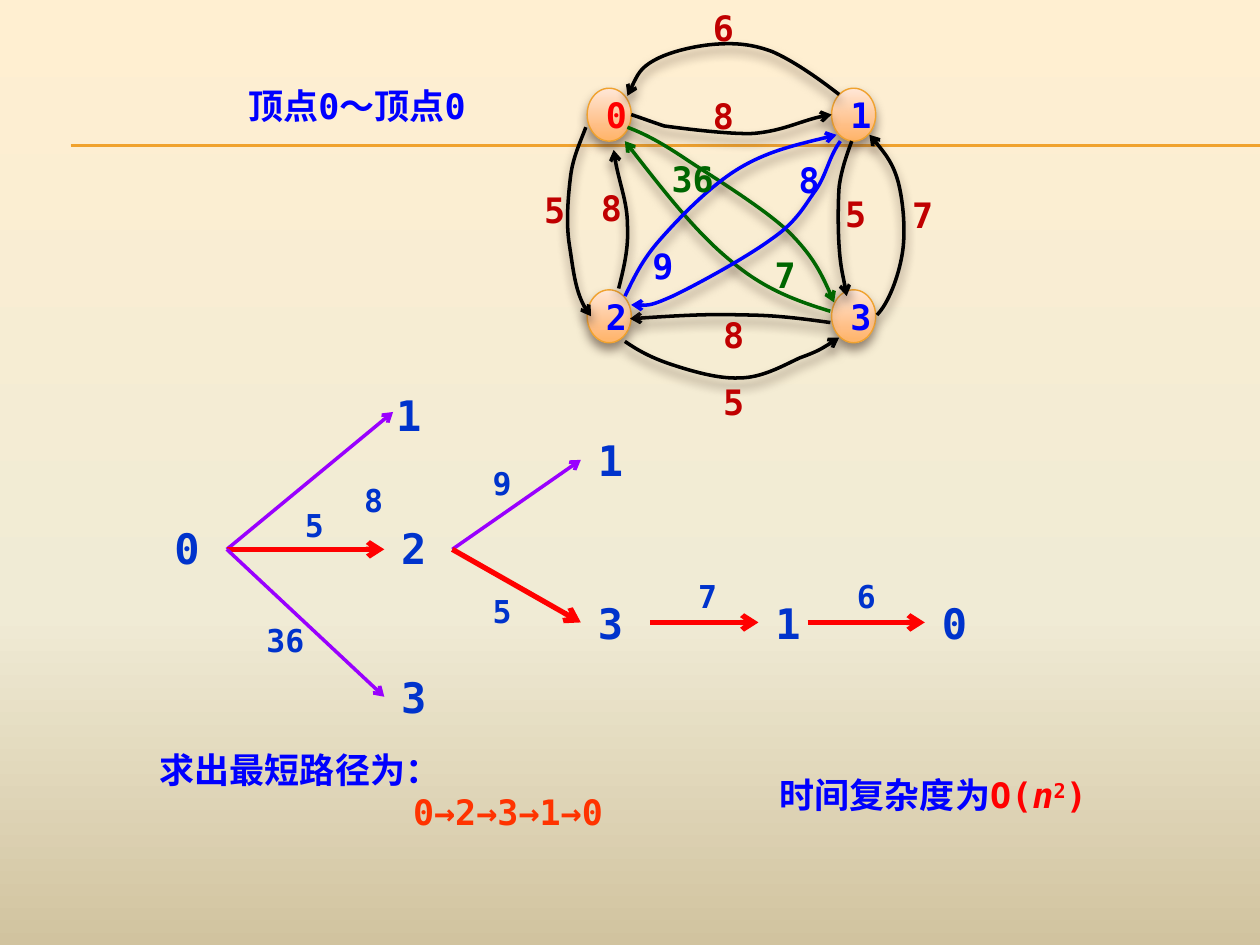
import dataclasses
import typing

import lxml.etree
import pptx
import pptx.dml.color
import pptx.enum.shapes
import pptx.enum.text
import pptx.oxml.ns
import pptx.util

FONT = "DejaVu Sans Mono"
CM_PER_INCH = 2.54
COLORS = {
    "rule": "F0A22E", "blue": "0000FF", "tree": "0033CC", "red": "FF0000",
    "purple": "9900FF", "orange": "FF3300", "dark_red": "C00000",
    "green": "006600", "black": "000000", "shadow": "4E3B30",
}
PAGE_STOPS = [(0, "FFEFD1"), (65, "F0EBD5"), (100, "D1C39F")]
VERTEX_STOPS = [(0, "FFE7D7"), (72, "FFBE84"), (100, "FFB468")]
Point = tuple[float, float]


@dataclasses.dataclass
class Vertex:
    name: str
    left: float
    top: float
    color: str = "blue"


@dataclasses.dataclass
class Edge:
    """A curved arrow: its start, then three Bezier points for each part."""
    color: str
    points: list[Point]


@dataclasses.dataclass
class Weight:
    text: str
    left: float
    top: float
    color: str = "dark_red"
    width: float = 0.28
    height: float = 0.44
    inset: bool = True


@dataclasses.dataclass
class Branch:
    """An arrow of the search tree, the node it reaches and its cost."""
    start: Point
    end: Point
    node: str
    node_at: Point
    cost: str
    cost_at: Point
    best: bool = False


VERTICES = [
    Vertex("0", 4.66, 0.7, "red"), Vertex("2", 4.66, 2.3),
    Vertex("1", 6.6, 0.7), Vertex("3", 6.6, 2.3),
]
EDGES = [
    Edge("black", [(4.65, 1.01), (4.61, 1.12), (4.55, 1.24), (4.53, 1.39), (4.51, 1.55),
                   (4.49, 1.77), (4.52, 1.95), (4.55, 2.14), (4.57, 2.37), (4.69, 2.51)]),
    Edge("black", [(4.91, 2.29), (4.95, 2.13), (4.99, 1.97), (4.98, 1.79),
                   (4.98, 1.61), (4.9, 1.42), (4.87, 1.19)]),
    Edge("black", [(6.66, 0.75), (6.48, 0.61), (6.29, 0.48), (6.13, 0.41), (5.97, 0.35),
                   (5.84, 0.34), (5.69, 0.35), (5.53, 0.36), (5.31, 0.41), (5.19, 0.48),
                   (5.08, 0.54), (5.03, 0.65), (4.98, 0.76)]),
    Edge("black", [(5.01, 0.91), (5.1, 0.94), (5.18, 0.97), (5.27, 1), (5.27, 1),
                   (5.76, 1.07), (5.98, 1.06), (6.21, 1.04), (6.39, 0.94), (6.6, 0.91)]),
    Edge("black", [(6.96, 2.5), (7.05, 2.41), (7.13, 2.2), (7.16, 2.02), (7.19, 1.85),
                   (7.17, 1.61), (7.13, 1.45), (7.09, 1.3), (6.99, 1.17), (6.9, 1.07)]),
    Edge("black", [(6.76, 1.12), (6.72, 1.23), (6.68, 1.34), (6.66, 1.48), (6.65, 1.62),
                   (6.65, 1.82), (6.66, 1.96), (6.67, 2.11), (6.7, 2.23), (6.72, 2.35)]),
    Edge("black", [(4.96, 2.71), (5.06, 2.78), (5.17, 2.84), (5.32, 2.89), (5.47, 2.94),
                   (5.7, 3.01), (5.87, 3), (6.05, 3), (6.22, 2.9), (6.35, 2.84),
                   (6.49, 2.79), (6.57, 2.74), (6.66, 2.68)]),
    Edge("black", [(6.59, 2.56), (6.37, 2.53), (6.15, 2.5), (5.89, 2.5),
                   (5.62, 2.49), (5.31, 2.51), (5, 2.53)]),
    Edge("green", [(4.98, 1.01), (5.11, 1.06), (5.23, 1.12), (5.44, 1.26), (5.65, 1.4),
                   (6.06, 1.65), (6.26, 1.84), (6.45, 2.03), (6.54, 2.21), (6.62, 2.4)]),
    Edge("green", [(6.59, 2.47), (6.33, 2.39), (6.07, 2.3), (5.8, 2.07),
                   (5.53, 1.85), (5.24, 1.48), (4.96, 1.12)]),
    Edge("blue", [(4.96, 2.35), (5.03, 2.21), (5.09, 2.07), (5.24, 1.9), (5.39, 1.73),
                  (5.63, 1.48), (5.86, 1.34), (6.09, 1.2), (6.36, 1.14), (6.64, 1.07)]),
    Edge("blue", [(6.67, 1.12), (6.57, 1.26), (6.56, 1.4), (6.46, 1.53), (6.37, 1.66),
                  (6.31, 1.77), (6.12, 1.9), (5.93, 2.04), (5.53, 2.26), (5.34, 2.35),
                  (5.16, 2.43), (5.08, 2.43), (5.01, 2.42)]),
]
WEIGHTS = [
    Weight("6", 5.56, 0), Weight("8", 5.56, 0.7), Weight("5", 4.22, 1.45),
    Weight("8", 4.67, 1.43), Weight("5", 5.64, 2.97), Weight("8", 5.64, 2.44),
    Weight("7", 7.14, 1.49), Weight("5", 6.61, 1.48), Weight("8", 6.24, 1.21, "blue"),
    Weight("9", 5.08, 1.89, "blue"),
    Weight("36", 5.33, 1.25, "green", 0.38, 0.34, inset=False),
    Weight("7", 6.05, 1.96, "green"),
]
ROOT, SECOND = (1.8, 4.36), (3.59, 4.36)
BRANCHES = [
    Branch(ROOT, (3.12, 3.27), "1", (3.01, 3.04), "8", (2.81, 3.82)),
    Branch(ROOT, (3.05, 4.36), "2", (3.05, 4.1), "5", (2.34, 4.02), True),
    Branch(ROOT, (3.05, 5.53), "3", (3.05, 5.28), "36", (2.11, 4.93)),
    Branch(SECOND, (4.61, 3.65), "1", (4.61, 3.4), "9", (3.83, 3.68)),
    Branch(SECOND, (4.61, 4.94), "3", (4.61, 4.69), "5", (3.83, 4.7), True),
    Branch((5.16, 4.94), (6.02, 4.94), "1", (6.02, 4.69), "7", (5.46, 4.58), True),
    Branch((6.41, 4.94), (7.34, 4.94), "0", (7.34, 4.69), "6", (6.72, 4.58), True),
]


def lengths(*inches: float) -> list[pptx.util.Cm]:
    return [pptx.util.Cm(value * CM_PER_INCH) for value in inches]


def rgb(color: str) -> pptx.dml.color.RGBColor:
    return pptx.dml.color.RGBColor.from_string(COLORS[color])


def add_node(parent: typing.Any, tag: str, **attributes: str) -> typing.Any:
    return lxml.etree.SubElement(parent, pptx.oxml.ns.qn(tag), attributes)


def set_gradient(fill: typing.Any, element: typing.Any, stops: list[tuple[int, str]]) -> None:
    """Fill from top to bottom."""
    fill.gradient()
    fill.gradient_angle = 270
    stop_list = element.find(".//" + pptx.oxml.ns.qn("a:gsLst"))
    for old in list(stop_list):
        stop_list.remove(old)
    for percent, color in stops:
        add_node(add_node(stop_list, "a:gs", pos=str(percent * 1000)), "a:srgbClr", val=color)


def set_line(shape: typing.Any, color: str, width: float, arrow: bool = False) -> None:
    shape.line.color.rgb = rgb(color)
    shape.line.width = pptx.util.Pt(width)
    if arrow:
        add_node(shape.element.spPr.find(pptx.oxml.ns.qn("a:ln")), "a:tailEnd", type="arrow")


def set_shadow(shape: typing.Any) -> None:
    shape.shadow.inherit = False
    effects = shape.element.spPr.find(pptx.oxml.ns.qn("a:effectLst"))
    shadow = add_node(effects, "a:outerShdw", blurRad="76200", dist="50800",
                      dir="5400000", rotWithShape="0")
    add_node(add_node(shadow, "a:srgbClr", val=COLORS["shadow"]), "a:alpha", val="60000")


def write(para: typing.Any, text: str, *, color: str, size: float = 20,
          italic: bool = False, raised: bool = False) -> None:
    span = para.add_run()
    span.text = text
    font = span.font
    font.name, font.size, font.bold, font.italic = FONT, pptx.util.Pt(size), True, italic
    font.color.rgb = rgb(color)
    if raised:
        span._r.get_or_add_rPr().set("baseline", "30000")


def add_box(page: typing.Any, left: float, top: float, width: float, height: float,
            centred: bool = False, inset: bool = True) -> typing.Any:
    frame = page.shapes.add_textbox(*lengths(left, top, width, height)).text_frame
    frame.word_wrap = True
    frame.auto_size = pptx.enum.text.MSO_AUTO_SIZE.SHAPE_TO_FIT_TEXT
    if not inset:
        frame.margin_left = frame.margin_right = frame.margin_top = frame.margin_bottom = 0
    if centred:
        frame.paragraphs[0].alignment = pptx.enum.text.PP_ALIGN.CENTER
    return frame


def add_straight(page: typing.Any, start: Point, end: Point, color: str,
                 width: float, arrow: bool = False) -> None:
    line = page.shapes.add_connector(pptx.enum.shapes.MSO_CONNECTOR.STRAIGHT,
                                     *lengths(*start, *end))
    set_line(line, color, width, arrow)
    add_node(line.element.spPr, "a:effectLst")


def add_vertex(page: typing.Any, vertex: Vertex) -> None:
    oval = page.shapes.add_shape(pptx.enum.shapes.MSO_SHAPE.OVAL,
                                 *lengths(vertex.left, vertex.top, 0.35, 0.42))
    set_gradient(oval.fill, oval.element, VERTEX_STOPS)
    set_line(oval, "rule", 0.79)
    set_shadow(oval)
    oval.text_frame.word_wrap = True
    write(oval.text_frame.paragraphs[0], vertex.name, color=vertex.color)


def add_edge(page: typing.Any, edge: Edge) -> None:
    start, *others = [lengths(*point) for point in edge.points]
    builder = page.shapes.build_freeform(*start)
    builder.add_line_segments(others, close=False)
    curve = builder.convert_to_shape()
    segments = list(curve.element.iter(pptx.oxml.ns.qn("a:lnTo")))
    for index in range(0, len(segments), 3):
        bezier = add_node(segments[index].getparent(), "a:cubicBezTo")
        for segment in segments[index:index + 3]:
            bezier.append(segment[0])
            segment.getparent().remove(segment)
    curve.fill.background()
    set_line(curve, edge.color, 2, arrow=True)
    set_shadow(curve)


def add_weight(page: typing.Any, weight: Weight) -> None:
    frame = add_box(page, weight.left, weight.top, weight.width, weight.height,
                    inset=weight.inset)
    write(frame.paragraphs[0], weight.text, color=weight.color)


def add_tree_node(page: typing.Any, name: str, at: Point) -> None:
    write(add_box(page, *at, 0.47, 0.5, centred=True).paragraphs[0], name, color="tree", size=24)


def add_branch(page: typing.Any, branch: Branch) -> None:
    add_tree_node(page, branch.node, branch.node_at)
    color, width = ("red", 3) if branch.best else ("purple", 2)
    add_straight(page, branch.start, branch.end, color, width, arrow=True)
    cost = add_box(page, *branch.cost_at, 0.31, 0.3, centred=True, inset=False)
    write(cost.paragraphs[0], branch.cost, color="tree", size=18)


def add_title(page: typing.Any) -> None:
    title = page.shapes.title
    title.left, title.top, title.width, title.height = lengths(1.87, 0.62, 2.5, 0.44)
    title.text_frame.vertical_anchor = pptx.enum.text.MSO_ANCHOR.TOP
    para = title.text_frame.paragraphs[0]
    para.alignment = pptx.enum.text.PP_ALIGN.LEFT
    write(para, "顶点0～顶点0", color="blue")


def add_conclusions(page: typing.Any) -> None:
    route = add_box(page, 1.17, 5.89, 4.3, 0.77)
    write(route.paragraphs[0], "求出最短路径为：", color="blue")
    para = route.add_paragraph()
    para._p.get_or_add_pPr().set("marL", str(lengths(2.01)[0]))
    write(para, "0→2→3→1→0", color="orange")
    para = add_box(page, 6.09, 6.09, 3.52, 0.44).paragraphs[0]
    write(para, "时间复杂度为", color="blue")
    write(para, "O(", color="red")
    write(para, "n", color="red", italic=True)
    write(para, "2", color="red", raised=True)
    write(para, ")", color="red")


def main() -> None:
    deck = pptx.Presentation()
    deck.slide_width, deck.slide_height = lengths(10, 7.5)
    page = deck.slides.add_slide(deck.slide_layouts[5])
    set_gradient(page.background.fill, page.element, PAGE_STOPS)
    for height in (1.15, 1.16):
        add_straight(page, (0.56, height), (10, height), "rule", 0.75)
    add_title(page)
    add_tree_node(page, "0", (1.25, 4.1))
    for branch in BRANCHES:
        add_branch(page, branch)
    add_conclusions(page)
    for vertex in VERTICES:
        add_vertex(page, vertex)
    for edge in EDGES:
        add_edge(page, edge)
    for weight in WEIGHTS:
        add_weight(page, weight)
    deck.save("out.pptx")


if __name__ == "__main__":
    main()
